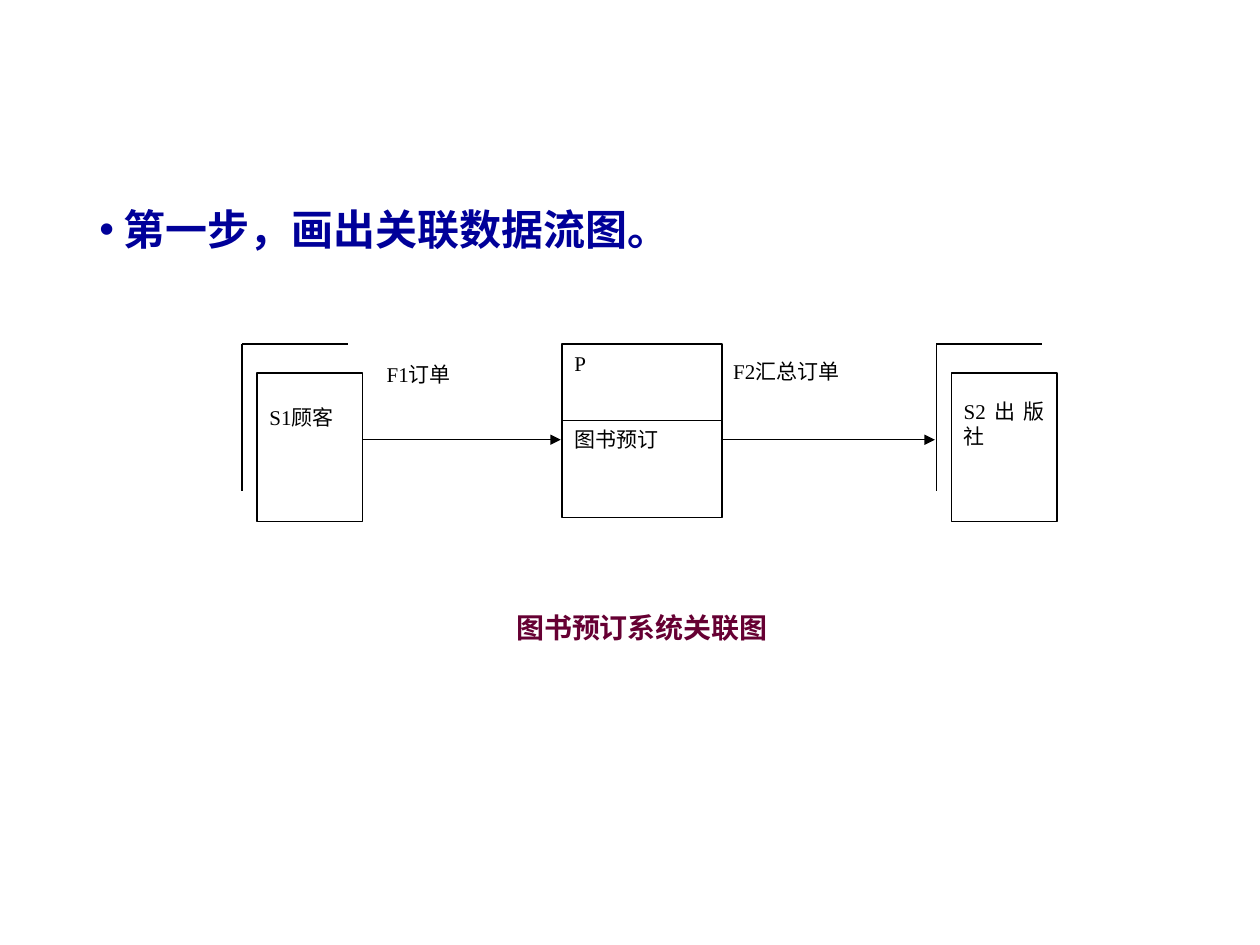
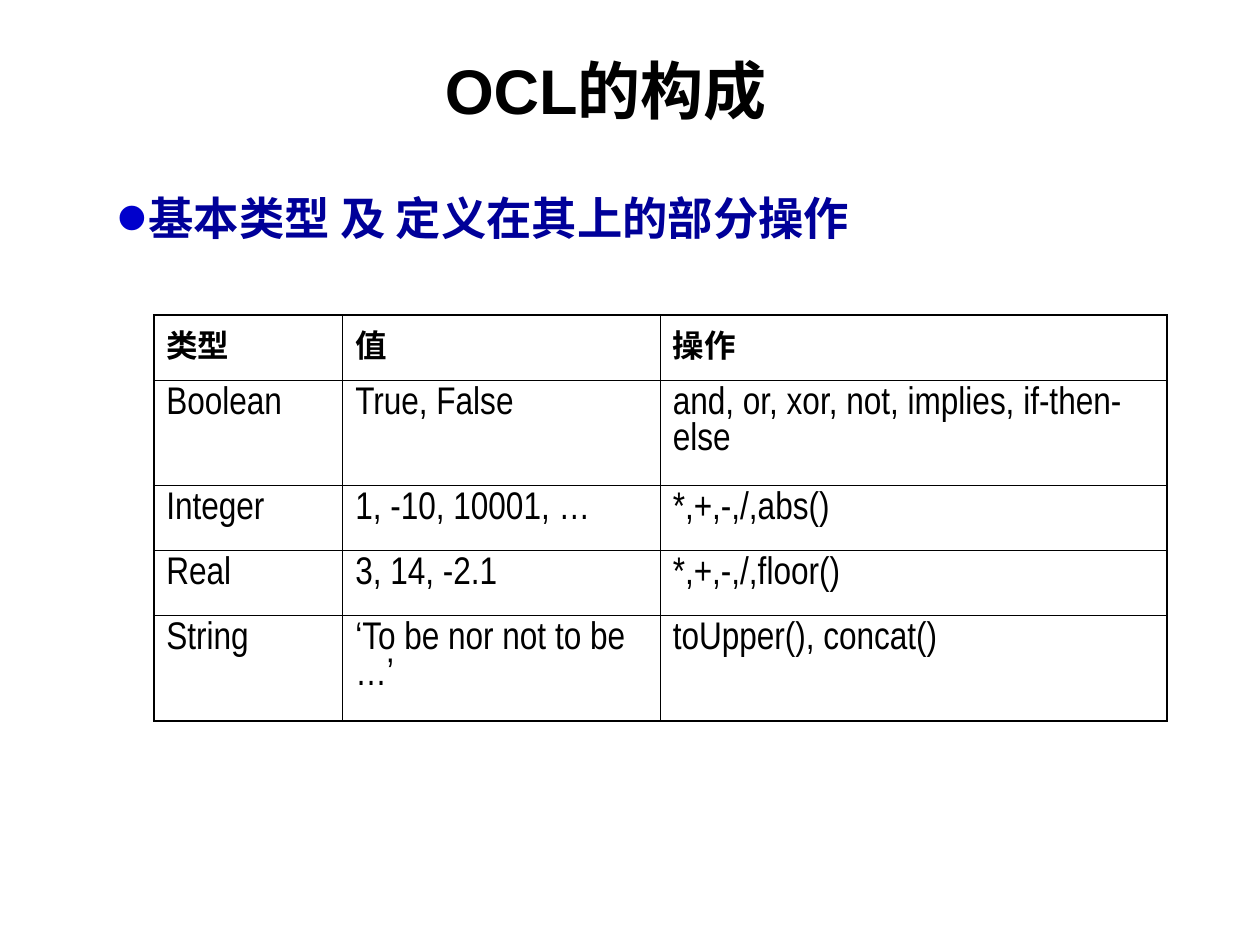
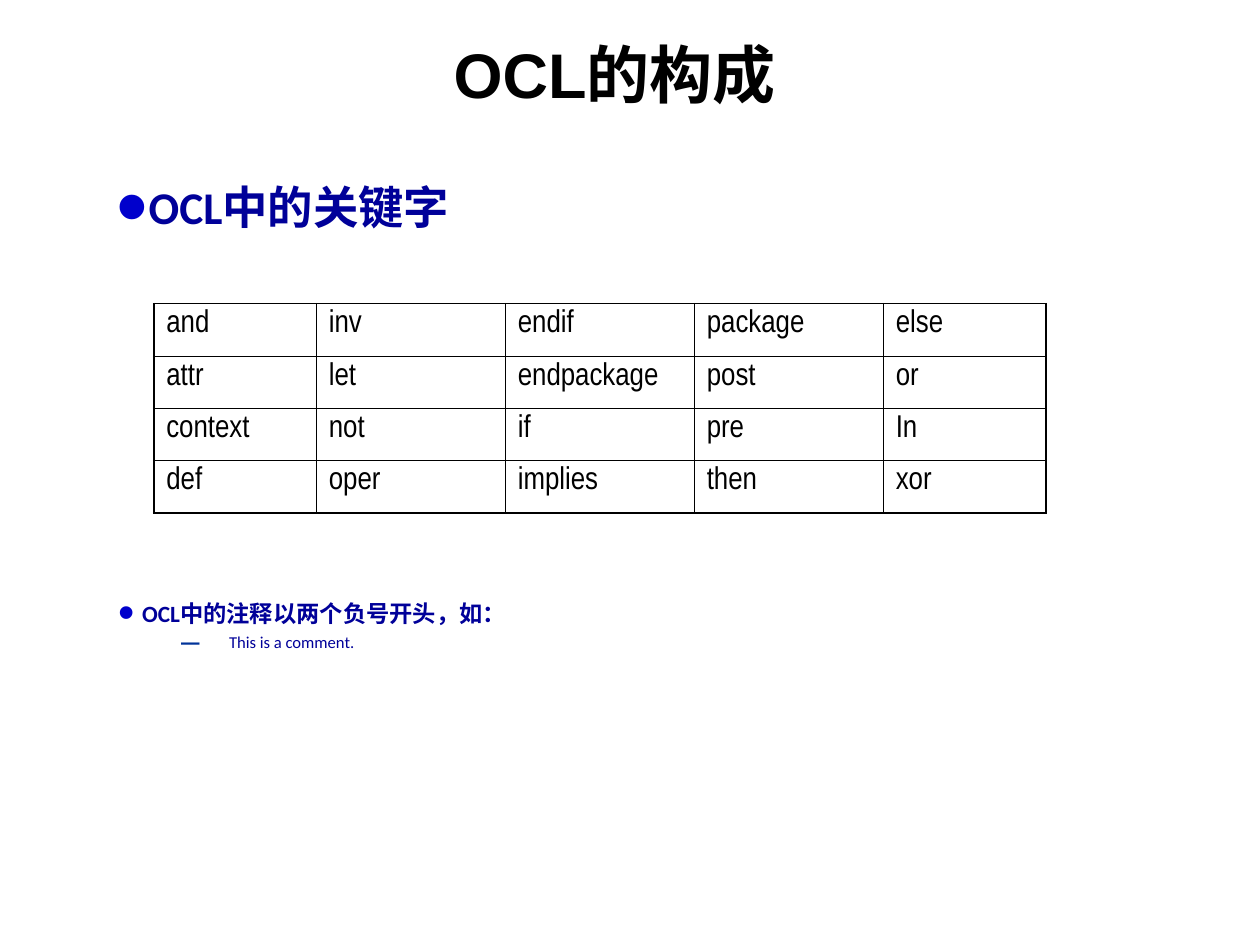
from lxml.etree import SubElement
from pptx import Presentation
from pptx.dml.color import RGBColor
from pptx.enum.shapes import MSO_CONNECTOR, MSO_SHAPE
from pptx.enum.text import MSO_ANCHOR, MSO_AUTO_SIZE, PP_ALIGN
from pptx.oxml.ns import qn
from pptx.util import Inches, Pt

BLACK = RGBColor(0, 0, 0)
WHITE = RGBColor(255, 255, 255)
NAVY = RGBColor(0, 0, 0x99)
BLUE = RGBColor(0, 0, 0xCC)
STEEL = RGBColor(0, 0x33, 0x99)
WINE = RGBColor(0x66, 0, 0x33)

COLS, ROWS = 100, 75
TITLE = dict(name="Arial", size=Pt(36), bold=True)
LEAD = dict(name="Calibri", size=Pt(24), bold=True)
POINT = dict(LEAD, size=Pt(25.9))
NOTE = dict(LEAD, size=Pt(13.3))
SUB = dict(NOTE, size=Pt(9.5), bold=False)
LABEL = dict(name="Times New Roman", size=Pt(12))
LEGEND = dict(name="Arial", size=Pt(16), bold=True)
CELL = dict(name="Arial Narrow", size=Pt(18), bold=False)
HEAD = dict(CELL, bold=True)
BIG = dict(CELL, size=Pt(22))


def assign(item, values):
    for name, value in values.items():
        setattr(item, name, value)


def node(parent, tag, **attrs):
    return SubElement(parent, qn("a:" + tag), attrs)


class Deck:
    def __init__(self):
        self.file = Presentation()
        assign(self.file, dict(slide_width=Inches(10), slide_height=Inches(7.5)))
        self.wide = self.file.slide_width / COLS
        self.high = self.file.slide_height / ROWS

    def grid(self, *spots):
        units = (self.wide, self.high) * 2
        return [round(spot * unit) for spot, unit in zip(spots, units)]

    def start(self, layout):
        self.slide = self.file.slides.add_slide(self.file.slide_layouts[layout])

    def put(self, para, text, style, color=BLACK, **form):
        assign(para, form)
        run = para.add_run()
        run.text = text
        assign(run.font, style)
        run.font.color.rgb = color

    def frame(self, shape, top=0.05):
        frame = shape.text_frame
        assign(frame, dict(word_wrap=True, auto_size=MSO_AUTO_SIZE.NONE,
                           margin_left=Inches(0.1), margin_right=Inches(0.1),
                           margin_top=Inches(top), margin_bottom=Inches(0.05),
                           vertical_anchor=MSO_ANCHOR.TOP))
        return frame

    def title(self, text, left, top):
        self.start(5)
        shape = self.slide.shapes.title
        places = self.grid(left, top, 65, 12.4)
        assign(shape, dict(zip(("left", "top", "width", "height"), places)))
        frame = self.frame(shape)
        frame.vertical_anchor = MSO_ANCHOR.MIDDLE
        self.put(frame.paragraphs[0], text, TITLE,
                 alignment=PP_ALIGN.LEFT, line_spacing=0.9)

    def text(self, *place):
        return self.frame(self.slide.shapes.add_textbox(*self.grid(*place)))

    def bullet(self, para, text, style, space, mark="•", tint=BLUE,
               scale=200, left=0.19, hang=0.19, **form):
        props = para._p.get_or_add_pPr()
        props.set("marL", str(Inches(left)))
        props.set("indent", str(-Inches(hang)))
        node(node(props, "buClr"), "srgbClr", val=str(tint))
        node(props, "buSzPct", val=str(scale * 1000))
        node(props, "buFont", typeface="Arial")
        node(props, "buChar", char=mark)
        self.put(para, text, style, NAVY, line_spacing=space, **form)

    def box(self, text, place, line=BLACK, top=0.05, align=PP_ALIGN.JUSTIFY):
        shape = self.slide.shapes.add_shape(MSO_SHAPE.RECTANGLE, *self.grid(*place))
        shape.shadow.inherit = False
        shape.fill.solid()
        shape.fill.fore_color.rgb = WHITE
        shape.line.color.rgb = line
        shape.line.width = Pt(0.75)
        para = self.frame(shape, top).paragraphs[0]
        self.put(para, text, LABEL, alignment=align)

    def line(self, *ends, arrow=False):
        link = self.slide.shapes.add_connector(MSO_CONNECTOR.STRAIGHT, *self.grid(*ends))
        link.line.color.rgb = BLACK
        link.line.width = Pt(0.75)
        props = link._element.spPr
        if arrow:
            node(props.find(qn("a:ln")), "tailEnd", type="triangle")
        node(props, "effectLst")

    def party(self, text, left, inset):
        top = 27.3
        self.box(text, (left + 1.2, top + 2.3, 8.4, 11.8), top=inset)
        self.line(left, top, left + 8.4, top)
        self.line(left, top, left, top + 11.7)

    def edge(self, cell, **sides):
        props = cell._tc.get_or_add_tcPr()
        for side, outer in sides.items():
            line = node(props, "ln" + side, w=str(Pt(1.08 if outer else 0.45)))
            node(node(line, "solidFill"), "srgbClr", val=str(BLACK))

    def table(self, data, left, top, wides, highs, head, body):
        place = self.grid(left, top, sum(wides), sum(highs))
        table = self.slide.shapes.add_table(len(highs), len(wides), *place).table
        assign(table, dict(first_row=False, horz_banding=False))
        for col, wide in zip(table.columns, wides):
            col.width = round(wide * self.wide)
        for row, high in zip(table.rows, highs):
            row.height = round(high * self.high)
        for y, words in enumerate(data):
            for x, word in enumerate(words):
                cell = table.cell(y, x)
                self.edge(cell, L=x == 0, R=x == len(wides) - 1,
                          T=y == 0, B=y == len(highs) - 1)
                cell.fill.background()
                self.put(cell.text_frame.paragraphs[0], word, body if y else head)


def flow(deck):
    deck.start(6)
    lead = deck.text(6.9, 13.7, 86.3, 47.6)
    deck.bullet(lead.paragraphs[0], "第一步，画出关联数据流图。", LEAD, 1.5,
                tint=NAVY, scale=100)
    legend = deck.text(34.3, 48, 33.3, 7.7)
    deck.put(legend.paragraphs[0], "图书预订系统关联图", LEGEND, WINE,
             alignment=PP_ALIGN.CENTER)
    deck.box("F2汇总订单", (57.2, 28, 17.8, 12), WHITE)
    deck.box("F1订单", (29.7, 28.2, 13.1, 9.2), WHITE)
    deck.box("图书预订", (44.6, 33.4, 12.7, 7.7))
    deck.box("P", (44.6, 27.3, 12.7, 6.1), align=PP_ALIGN.LEFT)
    for left, right in ((27.6, 44.5), (57.2, 74.2)):
        deck.line(left, 34.9, right, 34.9, arrow=True)
    deck.party("S1顾客", 19.2, 0.25)
    deck.party("S2出版社", 74.3, 0.2)


def kinds(deck):
    deck.title("OCL的构成", 34.3, 1.3)
    lead = deck.text(8.3, 15.4, 65.4, 4.7)
    deck.bullet(lead.paragraphs[0], "基本类型 及 定义在其上的部分操作", POINT, 0.8)
    data = (
        ("类型", "值", "操作"),
        ("Boolean", "True, False", "and, or, xor, not, implies, if-then-else"),
        ("Integer", "1, -10, 10001, …", "*,+,-,/,abs()"),
        ("Real", "3, 14, -2.1", "*,+,-,/,floor()"),
        ("String", "‘To be nor not to be …’", "toUpper(), concat()"),
    )
    deck.table(data, 12.2, 25, (15, 25.2, 40.2), (5.15, 8.4, 5.15, 5.15, 8.4),
               HEAD, BIG)


def words(deck):
    deck.title("OCL的构成", 35, 0)
    lead = deck.text(8.3, 14.6, 65.4, 4.7)
    deck.bullet(lead.paragraphs[0], "OCL中的关键字", POINT, 0.8)
    data = (
        ("and", "inv", "endif", "package", "else"),
        ("attr", "let", "endpackage", "post", "or"),
        ("context", "not", "if", "pre", "In"),
        ("def", "oper", "implies", "then", "xor"),
    )
    deck.table(data, 12.2, 24.1, (12.9, 15, 15, 15, 12.9), (4.15,) * 4, CELL, CELL)
    note = deck.text(8.4, 47.7, 71.7, 4.7)
    deck.bullet(note.paragraphs[0], "OCL中的注释以两个负号开头，如：", NOTE, 0.7)
    deck.bullet(note.add_paragraph(), "This is a comment.", SUB, 0.7, mark="–",
                tint=STEEL, left=0.88, hang=0.38, level=1, space_before=Pt(6))


def main():
    deck = Deck()
    for build in (flow, kinds, words):
        build(deck)
    deck.file.save("out.pptx")


if __name__ == "__main__":
    main()
